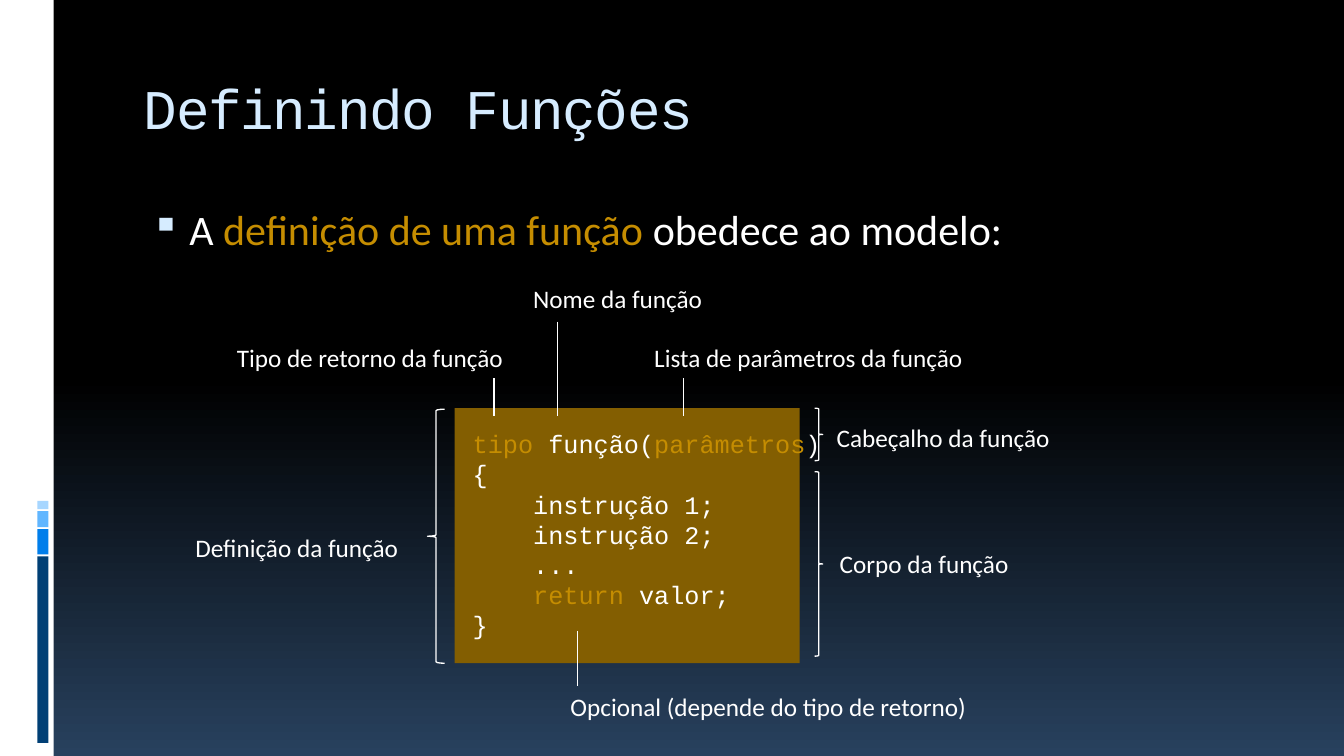
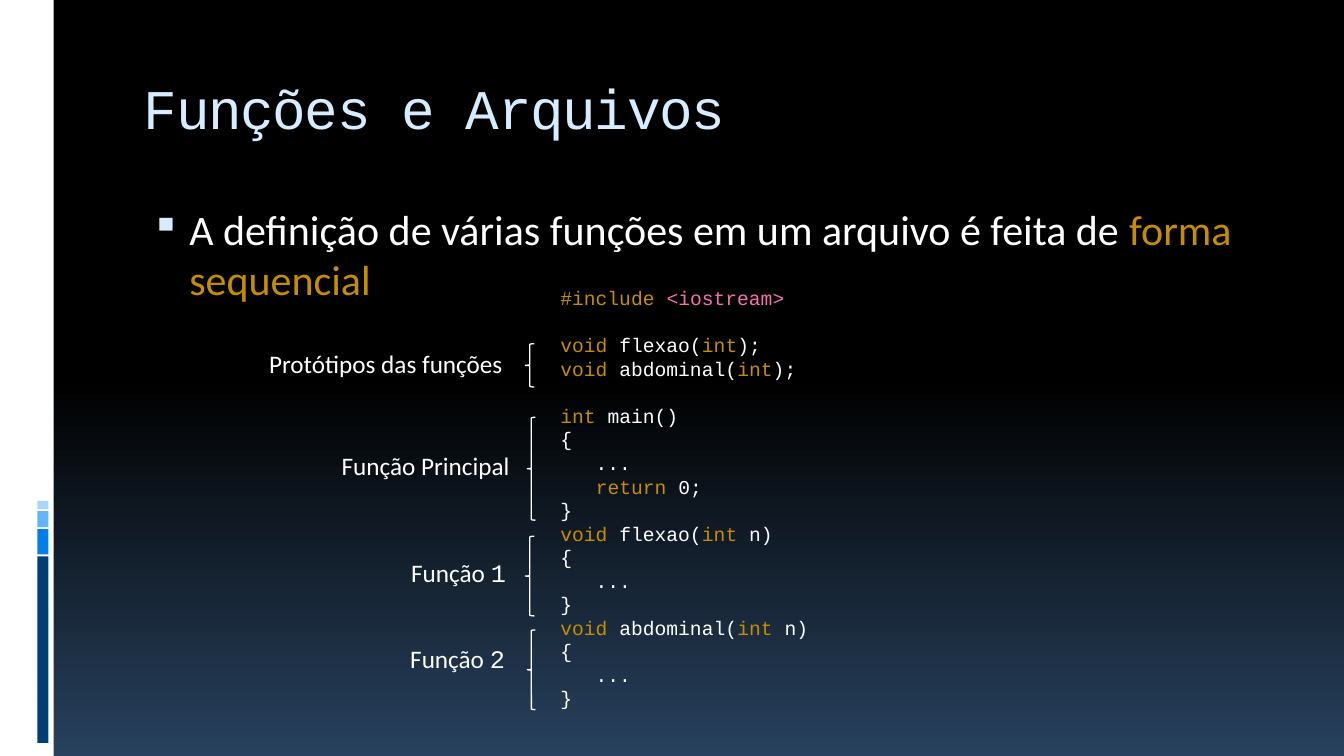
from lxml import etree
from pptx import Presentation
from pptx import util as u
from pptx.dml.color import RGBColor
from pptx.enum import shapes, text
from pptx.oxml.ns import qn

COLORS = {"black": "000000", "navy": "28415E", "white": "FFFFFF", "ice": "D6ECFF",
          "gold": "C58D01", "pink": "F273AF", "brown": "835E01", "deep": "003F75",
          "blue": "007EEB", "sky": "61B6FF", "pale": "A7D6FF"}
SANS, MONO = "Calibri", "Courier New"
WIDTH, HEIGHT = 13.33, 7.5
SIDEBAR = 0.04 * WIDTH
STRIPES = [(1.85, "deep"), (0.25, "blue"), (0.16, "sky"), (0.08, "pale")]  # bottom to top
STRIPE_GAP = 0.02
LINE = 0.94

# A line is a list of runs; a run is plain text or (text, colour or font).
# Braces: (side, left, top, width, height). Labels: (left, top, width, runs).
# Pointers: (x, top, bottom). Code: left, top, width, size, leading, lines;
# the lines listed in "gaps" stand one line lower.
SLIDES = [
    {
        "title": "Definindo Funções",
        "body": ["A ", ("definição de uma função ", "gold"), "obedece ao modelo:"],
        "panel": (4.51, 4.05, 3.42, 2.53),
        "code": {
            "box": (4.59, 4.2, 3.73, 2.22), "size": 18, "leading": 21.6, "gaps": (),
            "lines": [
                [("tipo", "gold"), " função(", ("parâmetros", "gold"), ")"],
                ["{"],
                ["    instrução 1;"],
                ["    instrução 2;"],
                ["    ..."],
                ["    ", ("return ", "gold"), "valor;"],
                ["}"],
            ],
        },
        "braces": [("right", 8.08, 4.68, 0.08, 1.83), ("left", 4.24, 4.06, 0.17, 2.52),
                   ("right", 8.08, 4.05, 0.08, 0.52)],
        "labels": [(8.23, 5.39, 1.91, ["Corpo da função"]),
                   (1.84, 5.23, 2.27, ["Definição da função"]),
                   (8.2, 4.14, 2.38, ["Cabeçalho da função"]),
                   (5.19, 2.76, 1.92, ["Nome da função"]),
                   (6.39, 3.35, 3.35, ["Lista de parâmetros da função"]),
                   (2.25, 3.35, 2.89, ["Tipo de retorno da função"]),
                   (5.56, 6.81, 4.18, ["Opcional (depende do tipo de retorno)"])],
        "pointers": [(5.53, 3.19, 4.13), (6.78, 3.75, 4.13), (4.9, 3.75, 4.13),
                     (5.73, 6.26, 6.81)],
    },
    {
        "title": "Funções e Arquivos",
        "body": ["A definição de várias funções em um arquivo é feita de ",
                 ("forma sequencial", "gold")],
        "panel": None,
        "code": {
            "box": (5.46, 2.79, 3.67, 4.34), "size": 14, "leading": 16.8, "gaps": (1, 3),
            "lines": [
                [("#include ", "gold"), ("<iostream>", "pink")],
                [("void ", "gold"), "flexao(", ("int", "gold"), ");"],
                [("void ", "gold"), "abdominal(", ("int", "gold"), ");"],
                [("int", "gold"), " main()"],
                ["{"],
                ["   ..."],
                ["   ", ("return", "gold"), " 0;"],
                ["}"],
                [("void ", "gold"), "flexao(", ("int ", "gold"), "n)"],
                ["{"],
                ["   ..."],
                ["}"],
                [("void ", "gold"), "abdominal(", ("int ", "gold"), "n)"],
                ["{"],
                ["   ..."],
                ["}"],
            ],
        },
        "braces": [("left", 5.23, 4.14, 0.08, 1.02), ("left", 5.21, 3.41, 0.09, 0.43),
                   ("left", 5.21, 5.32, 0.09, 0.79), ("left", 5.23, 6.25, 0.08, 0.79)],
        "labels": [(3.29, 4.42, 1.92, ["Função Principal"]),
                   (2.57, 3.41, 2.58, ["Protótipos das funções"]),
                   (3.98, 5.48, 1.15, ["Função ", ("1", MONO)]),
                   (3.97, 6.33, 1.15, ["Função ", ("2", MONO)])],
        "pointers": [],
    },
]


def rgb(name):
    return RGBColor.from_string(COLORS[name])


def inches(*values):
    return [u.Inches(value) for value in values]


def add_bullet(paragraph):
    properties = paragraph._p.get_or_add_pPr()
    properties.set("marL", str(u.Inches(0.45)))
    properties.set("indent", str(u.Inches(-0.38)))
    color = etree.SubElement(properties, qn("a:buClr"))
    etree.SubElement(color, qn("a:srgbClr"), val=COLORS["ice"])
    etree.SubElement(properties, qn("a:buSzPct"), val="95000")
    etree.SubElement(properties, qn("a:buChar"), char="▪")


def add_text(slide, box, lines, size=18, font=SANS, color="white", wrap=True, bullet=False,
             anchor=text.MSO_ANCHOR.TOP, tracking=0, leading=None, gaps=()):
    frame = slide.shapes.add_textbox(*inches(*box)).text_frame
    frame.word_wrap = wrap
    frame.vertical_anchor = anchor
    for index, runs in enumerate(lines):
        paragraph = frame.paragraphs[0] if index == 0 else frame.add_paragraph()
        if leading:
            paragraph.line_spacing = u.Pt(leading)
        if index in gaps:
            paragraph.space_before = u.Pt(leading)
        if bullet:
            add_bullet(paragraph)
        for item in runs:
            content, style = (item, None) if isinstance(item, str) else item
            run = paragraph.add_run()
            run.text = content
            run.font.size = u.Pt(size)
            run.font.name = MONO if style == MONO else font
            run.font.color.rgb = rgb(style if style in COLORS else color)
            if tracking:
                run._r.get_or_add_rPr().set("spc", str(tracking * 100))


def add_rectangle(slide, box, color):
    shape = slide.shapes.add_shape(shapes.MSO_SHAPE.RECTANGLE, *inches(*box))
    shape.shadow.inherit = False
    shape.fill.solid()
    shape.fill.fore_color.rgb = rgb(color)
    shape.line.fill.background()


def draw_outline(line):
    line.color.rgb = rgb("white")
    line.width = u.Pt(LINE)


def add_brace(slide, side, *box):
    kind = shapes.MSO_SHAPE.LEFT_BRACE if side == "left" else shapes.MSO_SHAPE.RIGHT_BRACE
    shape = slide.shapes.add_shape(kind, *inches(*box))
    shape.shadow.inherit = False
    shape.fill.background()
    draw_outline(shape.line)


def add_pointer(slide, x, top, bottom):
    connector = slide.shapes.add_connector(shapes.MSO_CONNECTOR.STRAIGHT,
                                           *inches(x, top, x, bottom))
    draw_outline(connector.line)
    etree.SubElement(connector._element.spPr, qn("a:effectLst"))


def set_background(master):
    fill = master.background.fill
    fill.gradient()
    fill.gradient_angle = 270
    for stop, position, color in zip(fill.gradient_stops, (0.5, 1), ("black", "navy")):
        stop.position = position
        stop.color.rgb = rgb(color)


def add_frame(slide, title, body):
    """Draw what every slide has: side band, stripes, title and bullet."""
    add_rectangle(slide, (0, 0, SIDEBAR, HEIGHT), "white")
    bottom = 7.37
    for height, color in STRIPES:
        add_rectangle(slide, (0.37, bottom - height, 0.11, height), color)
        bottom -= height + STRIPE_GAP
    add_text(slide, (1.33, 0.56, 11.33, 1), [[title]], size=40, font=MONO, color="ice",
             anchor=text.MSO_ANCHOR.MIDDLE, tracking=-1)
    add_text(slide, (1.33, 1.97, 11.33, 5), [body], size=30, bullet=True)


def build_slide(presentation, content):
    slide = presentation.slides.add_slide(presentation.slide_layouts[6])
    add_frame(slide, content["title"], content["body"])
    if content["panel"]:
        add_rectangle(slide, content["panel"], "brown")
    code = content["code"]
    add_text(slide, code["box"], code["lines"], size=code["size"], font=MONO,
             leading=code["leading"], gaps=code["gaps"])
    for brace in content["braces"]:
        add_brace(slide, *brace)
    for left, top, width, runs in content["labels"]:
        add_text(slide, (left, top, width, 0.4), [runs], wrap=False)
    for pointer in content["pointers"]:
        add_pointer(slide, *pointer)


def main():
    presentation = Presentation()
    presentation.slide_width, presentation.slide_height = inches(WIDTH, HEIGHT)
    set_background(presentation.slide_master)
    for content in SLIDES:
        build_slide(presentation, content)
    presentation.save("out.pptx")


if __name__ == "__main__":
    main()
